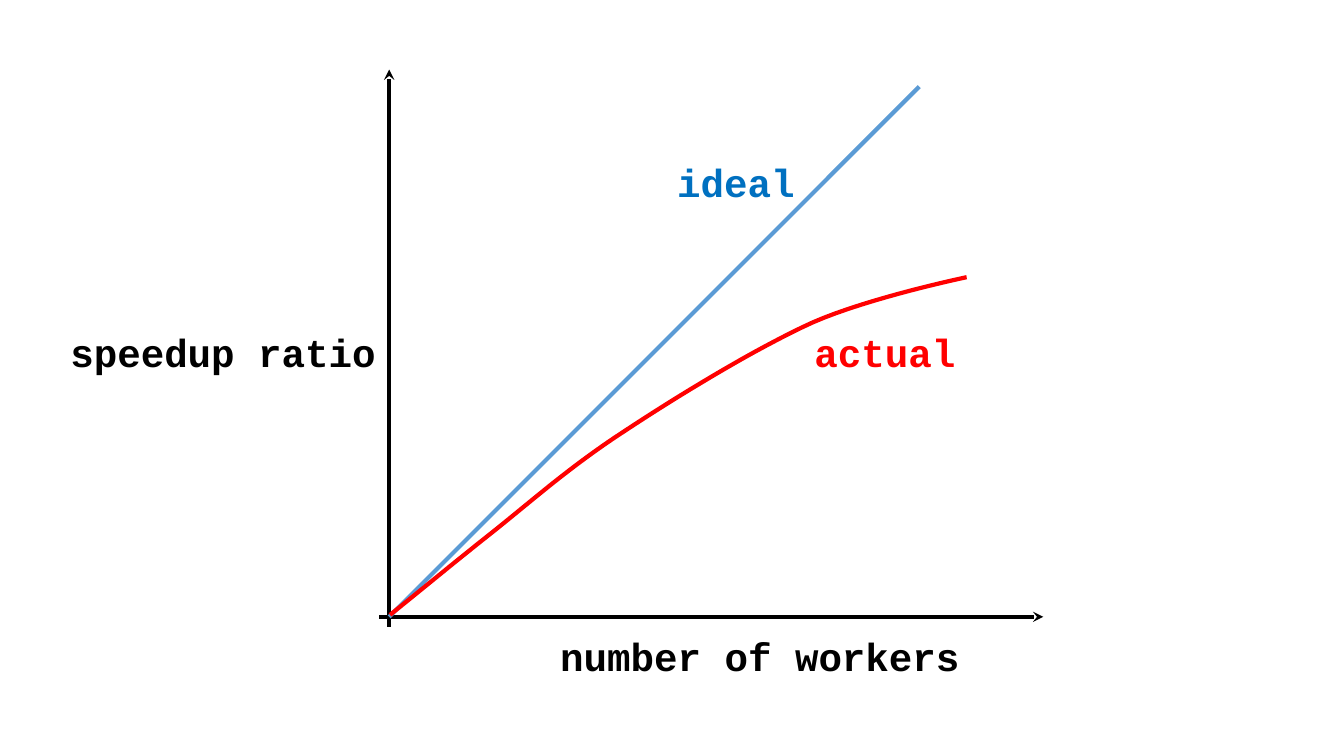
"""Build a slide that plots ideal and actual speedup against the number of workers."""
from lxml import etree
from pptx import Presentation
from pptx.dml.color import RGBColor
from pptx.enum.shapes import MSO_CONNECTOR
from pptx.enum.text import MSO_AUTO_SIZE
from pptx.oxml.ns import qn
from pptx.util import Pt

STRAIGHT = MSO_CONNECTOR.STRAIGHT
FIT_SHAPE = MSO_AUTO_SIZE.SHAPE_TO_FIT_TEXT
BLACK = RGBColor(0x00, 0x00, 0x00)
LIGHT_BLUE = RGBColor(0x5B, 0x9B, 0xD5)
BLUE = RGBColor(0x00, 0x70, 0xC0)
RED = RGBColor(0xFF, 0x00, 0x00)

ORIGIN_X, ORIGIN_Y = 278, 440.6
OVERHANG = 7.2
IDEAL_LENGTH = 378.7
LABEL_HEIGHT = 41.2
CURVE_STEPS = 16


def bezier_point(controls, t):
    """Return the point at t on a cubic curve, in slide units."""
    weights = ((1 - t) ** 3, 3 * t * (1 - t) ** 2, 3 * t ** 2 * (1 - t), t ** 3)
    return tuple(
        Pt(sum(weight * control[axis] for weight, control in zip(weights, controls)))
        for axis in (0, 1)
    )


presentation = Presentation()
presentation.slide_width = Pt(960)
presentation.slide_height = Pt(540)
slide = presentation.slides.add_slide(presentation.slide_layouts[6])

straight_lines = [
    (ORIGIN_X - OVERHANG, ORIGIN_Y, 745.2, ORIGIN_Y, BLACK, 2.5, True),
    (ORIGIN_X, ORIGIN_Y + OVERHANG, ORIGIN_X, 49.7, BLACK, 2.5, True),
    (ORIGIN_X, ORIGIN_Y, ORIGIN_X + IDEAL_LENGTH, ORIGIN_Y - IDEAL_LENGTH, LIGHT_BLUE, 3, False),
]
for start_x, start_y, end_x, end_y, color, width, has_arrow in straight_lines:
    connector = slide.shapes.add_connector(
        STRAIGHT, Pt(start_x), Pt(start_y), Pt(end_x), Pt(end_y)
    )
    connector.line.color.rgb = color
    connector.line.width = Pt(width)
    properties = connector._element.spPr
    if has_arrow:
        etree.SubElement(properties.find(qn("a:ln")), qn("a:tailEnd"), type="stealth")
    etree.SubElement(properties, qn("a:effectLst"))

curve_controls = [
    (278.6, 439.2), (300.2, 421.9), (321.8, 403.9),
    (349.9, 381.6), (377.3, 360), (406.8, 333.4),
    (445.7, 308.2), (483.8, 283), (539.3, 249.1),
    (580.3, 230.4), (621.4, 212.4), (690.5, 198),
    (690.5, 198),
]
curve_points = [
    bezier_point(curve_controls[first:first + 4], step / CURVE_STEPS)
    for first in range(0, len(curve_controls) - 1, 3)
    for step in range(1, CURVE_STEPS + 1)
]
curve_start = bezier_point(curve_controls[:4], 0)
builder = slide.shapes.build_freeform(*curve_start)
builder.add_line_segments(curve_points, close=False)
actual_curve = builder.convert_to_shape()
actual_curve.shadow.inherit = False
actual_curve.fill.background()
actual_curve.line.color.rgb = RED
actual_curve.line.width = Pt(3)

labels = [
    ("number of workers", 393.1, 447.8, 302.4, BLACK),
    ("speedup ratio", 43.2, 231.1, 234.7, BLACK),
    ("ideal", 476.6, 109.4, 99.4, BLUE),
    ("actual", 574.6, 231.1, 115.9, RED),
]
for text, left, top, width, color in labels:
    label = slide.shapes.add_textbox(Pt(left), Pt(top), Pt(width), Pt(LABEL_HEIGHT))
    label.text_frame.word_wrap = False
    label.text_frame.auto_size = FIT_SHAPE
    run = label.text_frame.paragraphs[0].add_run()
    run.text = text
    run.font.name = "Courier New"
    run.font.size = Pt(28)
    run.font.bold = True
    run.font.color.rgb = color

presentation.save("out.pptx")
